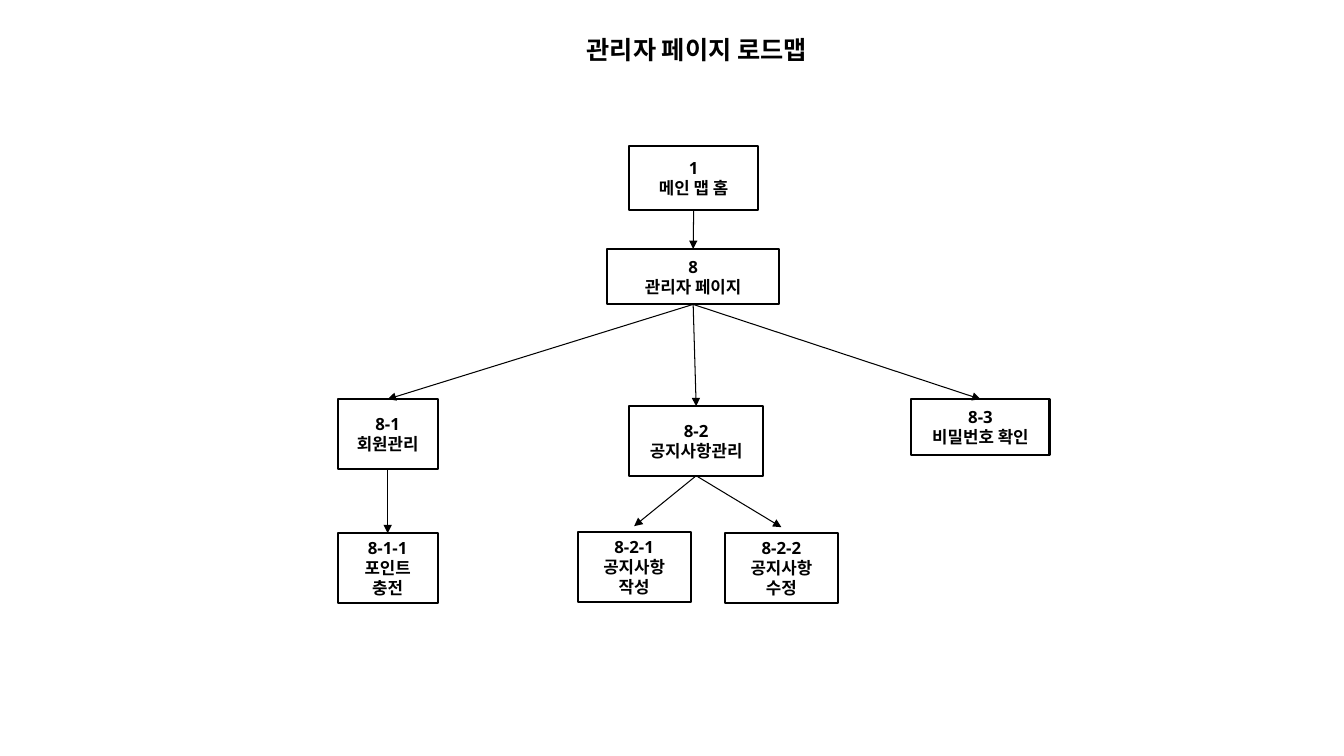
from lxml import etree
from pptx import Presentation
from pptx.dml.color import RGBColor
from pptx.enum.shapes import MSO_CONNECTOR, MSO_SHAPE
from pptx.enum.text import MSO_ANCHOR, PP_ALIGN
from pptx.oxml.ns import qn
from pptx.util import Pt

PX = 9144  # 100 px to the inch
BLACK = RGBColor.from_string("000000")
KOREAN_FONT = "Noto Sans CJK KR"
RECTANGLE = MSO_SHAPE.RECTANGLE
STRAIGHT = MSO_CONNECTOR.STRAIGHT
CENTER = PP_ALIGN.CENTER
TOP, MIDDLE = MSO_ANCHOR.TOP, MSO_ANCHOR.MIDDLE
TOP_SITE, BOTTOM_SITE = 0, 2


def write_text(shape, text, size, font, anchor, inset):
    frame = shape.text_frame
    frame.text = text
    frame.word_wrap = True
    frame.vertical_anchor = anchor
    frame.margin_left = frame.margin_right = 10 * PX
    frame.margin_top = frame.margin_bottom = inset * PX
    for paragraph in frame.paragraphs:
        paragraph.alignment = CENTER
        paragraph.line_spacing = 1.0
        paragraph.space_before = Pt(0)
        for run in paragraph.runs:
            run.font.name = font
            run.font.size = Pt(size)
            run.font.bold = True
            run.font.color.rgb = BLACK
            east_asian = etree.SubElement(run.font._element, qn("a:ea"))
            east_asian.set("typeface", KOREAN_FONT)


presentation = Presentation()
presentation.slide_width = 1333 * PX
presentation.slide_height = 750 * PX
slide = presentation.slides.add_slide(presentation.slide_layouts[5])

title = slide.shapes.title
title.left, title.top, title.width, title.height = (
    length * PX for length in (524, 29, 334, 40))
write_text(title, "관리자 페이지 로드맵", size=18, font=KOREAN_FONT, anchor=TOP, inset=5)

# number: (label, left, top, width, height)
pages = {
    "1": ("메인 맵 홈", 624, 145, 128, 63),
    "8": ("관리자 페이지", 602, 247, 171, 55),
    "8-1": ("회원관리", 335, 396, 99, 69),
    "8-2": ("공지사항관리", 624, 403, 133, 69),
    "8-3": ("비밀번호 확인", 904, 396, 137, 55),
    "8-1-1": ("포인트\n충전", 335, 529, 99, 69),
    "8-2-1": ("공지사항\n작성", 573, 528, 112, 69),
    "8-2-2": ("공지사항\n수정", 719, 529, 112, 69),
}
boxes = {}
for number, (label, *bounds) in pages.items():
    box = slide.shapes.add_shape(RECTANGLE, *(length * PX for length in bounds))
    box.shadow.inherit = False
    box.fill.background()
    box.line.color.rgb = BLACK
    box.line.width = Pt(1.5)
    write_text(box, f"{number}\n{label}", size=12, font="Open Sans", anchor=MIDDLE, inset=10)
    boxes[number] = box

# parent, child, gap between arrowhead and child
links = [
    ("1", "8", 0),
    ("8", "8-1", 0),
    ("8", "8-2", 0),
    ("8", "8-3", 0),
    ("8-1", "8-1-1", 0),
    ("8-2", "8-2-1", 6),
    ("8-2", "8-2-2", 6),
]
for parent_number, child_number, gap in links:
    parent, child = boxes[parent_number], boxes[child_number]
    arrow = slide.shapes.add_connector(
        STRAIGHT,
        parent.left + parent.width // 2, parent.top + parent.height,
        child.left + child.width // 2, child.top - gap * PX)
    arrow.begin_connect(parent, BOTTOM_SITE)
    if gap == 0:
        arrow.end_connect(child, TOP_SITE)
    arrow.line.color.rgb = BLACK
    arrow.line.width = Pt(0.75)
    properties = arrow._element.spPr
    head = etree.SubElement(properties.find(qn("a:ln")), qn("a:tailEnd"))
    head.set("type", "triangle")
    etree.SubElement(properties, qn("a:effectLst"))

presentation.save("out.pptx")
